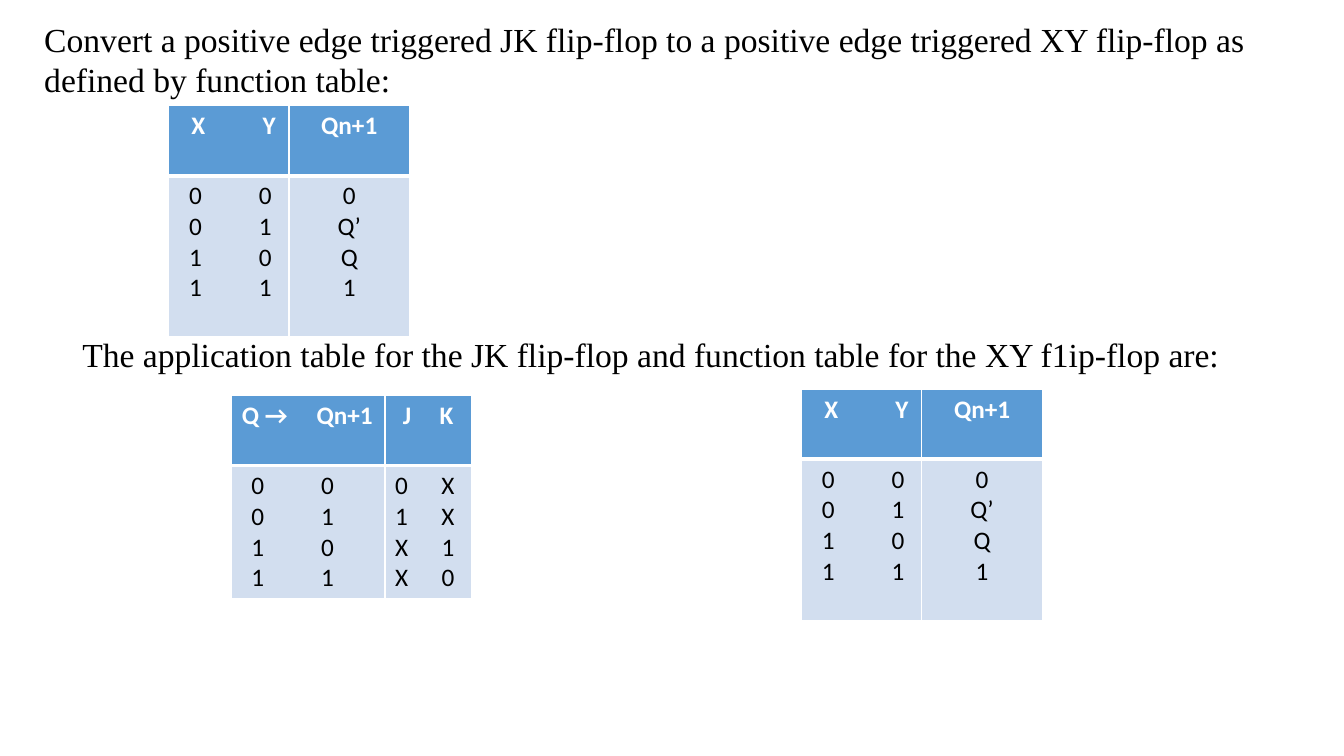
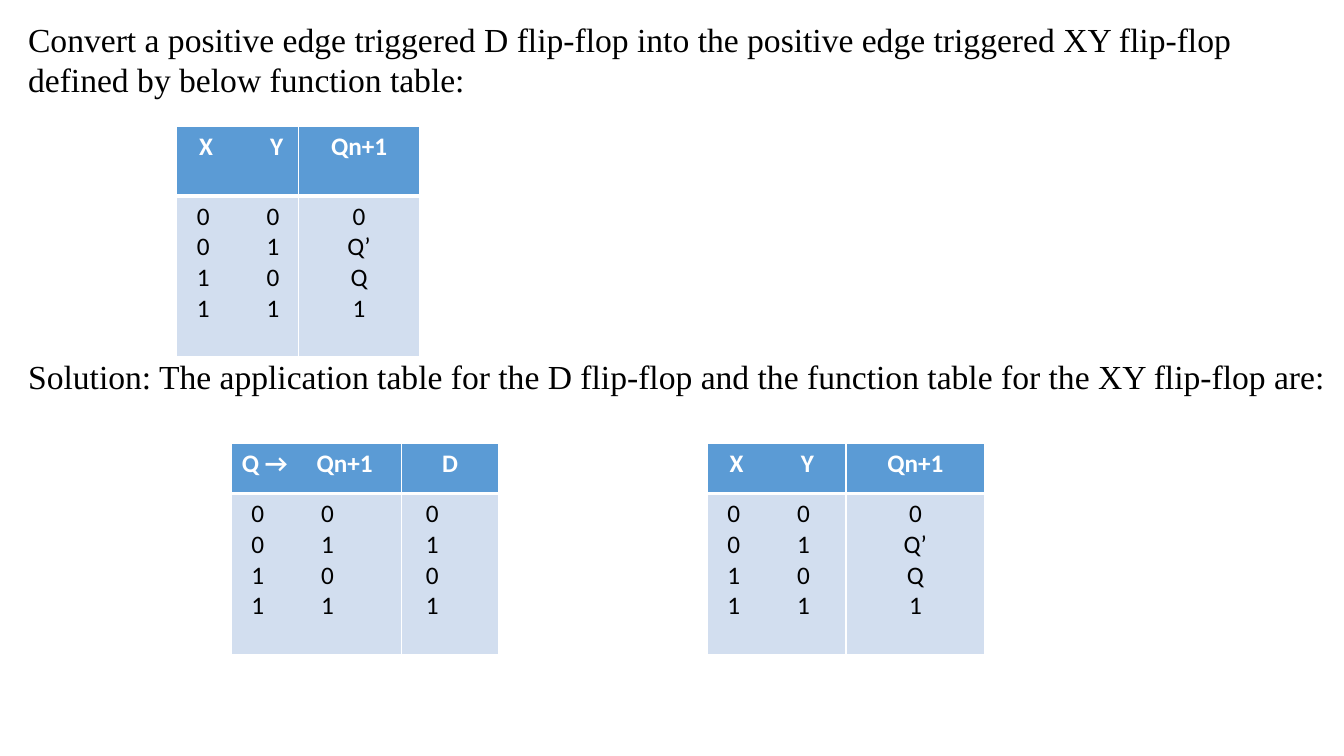
"""Build two slides on converting JK and D flip-flops to an XY flip-flop."""
from dataclasses import dataclass

from lxml.etree import SubElement
from pptx import Presentation
from pptx.dml.color import RGBColor
from pptx.enum.text import MSO_AUTO_SIZE, PP_ALIGN
from pptx.oxml.ns import qn
from pptx.slide import Slide
from pptx.table import _Cell
from pptx.text.text import TextFrame, _Paragraph
from pptx.util import Pt

BLACK = RGBColor(0x00, 0x00, 0x00)
WHITE = RGBColor(0xFF, 0xFF, 0xFF)
HEADER_BLUE = RGBColor(0x5B, 0x9B, 0xD5)
BODY_BLUE = RGBColor(0xD2, 0xDE, 0xEF)
STATEMENT_FONT = "Times New Roman"
TABLE_FONT = "Calibri"
THIN_LINE = 1
HEADER_LINE = 3


@dataclass(frozen=True)
class Column:
    """Text of one table column, with centred tab stops in points."""
    header: str
    body: str
    header_stops: tuple[float, ...] = ()
    body_stops: tuple[float, ...] = ()


@dataclass(frozen=True)
class Statement:
    """A text box and its place in points."""
    text: str
    left: float
    top: float
    width: float
    height: float


@dataclass(frozen=True)
class TruthTable:
    """A two-row table with its place and sizes in points."""
    columns: tuple[Column, ...]
    left: float
    top: float
    widths: tuple[float, ...]
    heights: tuple[float, float]


BIT_PAIRS = "\t0\t0\n\t0\t1\n\t1\t0\n\t1\t1"
BIT_STOPS = (12, 61.75)
INPUTS_XY = Column("\tX\tY", BIT_PAIRS, (14, 64.5), BIT_STOPS)
NEXT_STATE = Column("Qn+1", "0\nQ’\nQ\n1")
TRANSITION = Column("\tQ →\tQn+1", BIT_PAIRS, (17, 74), BIT_STOPS)
INPUTS_JK = Column("\tJ\tK", "0\tX\n1\tX\nX\t1\nX\t0", (8.5, 36.75), (37.75,))
INPUT_D = Column("D", "\t0\n\t1\n\t0\n\t1", (), (14.5,))
FUNCTION_XY = (INPUTS_XY, NEXT_STATE)

PAGES: tuple[tuple[Statement | TruthTable, ...], ...] = (
    (
        Statement("Convert a positive edge triggered JK flip-flop to a positive edge "
                  "triggered XY flip-flop as defined by function table:",
                  24.5, 10, 935, 65.5),
        Statement("The application table for the JK flip-flop and function table "
                  "for the XY f1ip-flop are:", 51.75, 234.75, 833, 36),
        TruthTable(FUNCTION_XY, 120.5, 75.5, (86, 86), (50, 115)),
        TruthTable((TRANSITION, INPUTS_JK), 165, 282.5, (110, 62), (50, 95)),
        TruthTable(FUNCTION_XY, 572.5, 278, (86, 86), (50, 115)),
    ),
    (
        Statement("Convert a positive edge triggered D flip-flop into the positive edge "
                  "triggered XY flip-flop defined by below function table:",
                  13, 10, 947, 65.5),
        TruthTable(FUNCTION_XY, 126, 90, (87, 87), (50, 115)),
        Statement("Solution: The application table for the D flip-flop and the function "
                  "table for the XY flip-flop are:", 13, 250.5, 947, 36),
        TruthTable((TRANSITION, INPUT_D), 165, 316.5, (122, 69), (36, 115)),
        TruthTable(FUNCTION_XY, 505, 316.5, (99.25, 99.25), (36, 115)),
    ),
)


def add_tab_stops(para: _Paragraph, stops: tuple[float, ...]) -> None:
    """Give a paragraph centred tab stops."""
    tab_list = SubElement(para._p.get_or_add_pPr(), qn("a:tabLst"))
    for stop in stops:
        SubElement(tab_list, qn("a:tab"), pos=str(int(Pt(stop))), algn="ctr")


def write_text(frame: TextFrame, text: str, *, font: str, size: float,
               color: RGBColor = BLACK, bold: bool = False,
               align: PP_ALIGN = PP_ALIGN.LEFT,
               stops: tuple[float, ...] = ()) -> None:
    """Write each line of text as a formatted paragraph."""
    for index, line in enumerate(text.split("\n")):
        para = frame.add_paragraph() if index else frame.paragraphs[0]
        para.alignment = align
        if stops:
            add_tab_stops(para, stops)
        span = para.add_run()
        span.text = line
        span.font.name = font
        span.font.size = Pt(size)
        span.font.bold = bold
        span.font.color.rgb = color


def add_borders(cell: _Cell, top: float, bottom: float) -> None:
    """Draw white lines around a cell."""
    properties = cell._tc.get_or_add_tcPr()
    widths = {"lnL": THIN_LINE, "lnR": THIN_LINE, "lnT": top, "lnB": bottom}
    for side, width in widths.items():
        line = SubElement(properties, qn(f"a:{side}"), w=str(int(Pt(width))))
        fill = SubElement(line, qn("a:solidFill"))
        SubElement(fill, qn("a:srgbClr"), val=str(WHITE))


def fill_cell(cell: _Cell, text: str, stops: tuple[float, ...], is_header: bool) -> None:
    """Style and write one header or body cell."""
    if is_header:
        add_borders(cell, THIN_LINE, HEADER_LINE)
    else:
        add_borders(cell, HEADER_LINE, THIN_LINE)
    cell.fill.solid()
    cell.fill.fore_color.rgb = HEADER_BLUE if is_header else BODY_BLUE
    write_text(cell.text_frame, text, font=TABLE_FONT, size=18,
               color=WHITE if is_header else BLACK, bold=is_header,
               align=PP_ALIGN.LEFT if stops else PP_ALIGN.CENTER, stops=stops)


def add_truth_table(page: Slide, item: TruthTable) -> None:
    """Add a table with one header row and one body row."""
    frame = page.shapes.add_table(
        len(item.heights), len(item.columns), Pt(item.left), Pt(item.top),
        Pt(sum(item.widths)), Pt(sum(item.heights)))
    table = frame.table
    table.horz_banding = False
    for row, height in zip(table.rows, item.heights):
        row.height = Pt(height)
    for index, (column, width) in enumerate(zip(item.columns, item.widths)):
        table.columns[index].width = Pt(width)
        fill_cell(table.cell(0, index), column.header, column.header_stops, True)
        fill_cell(table.cell(1, index), column.body, column.body_stops, False)


def add_statement(page: Slide, item: Statement) -> None:
    """Add a wrapped text box that grows with its text."""
    box = page.shapes.add_textbox(Pt(item.left), Pt(item.top),
                                  Pt(item.width), Pt(item.height))
    box.text_frame.word_wrap = True
    box.text_frame.auto_size = MSO_AUTO_SIZE.SHAPE_TO_FIT_TEXT
    write_text(box.text_frame, item.text, font=STATEMENT_FONT, size=24)


def main() -> None:
    """Build and save the deck."""
    deck = Presentation()
    deck.slide_width = Pt(960)
    deck.slide_height = Pt(540)
    for items in PAGES:
        page = deck.slides.add_slide(deck.slide_layouts[6])
        for item in items:
            if isinstance(item, Statement):
                add_statement(page, item)
            else:
                add_truth_table(page, item)
    deck.save("out.pptx")


if __name__ == "__main__":
    main()
